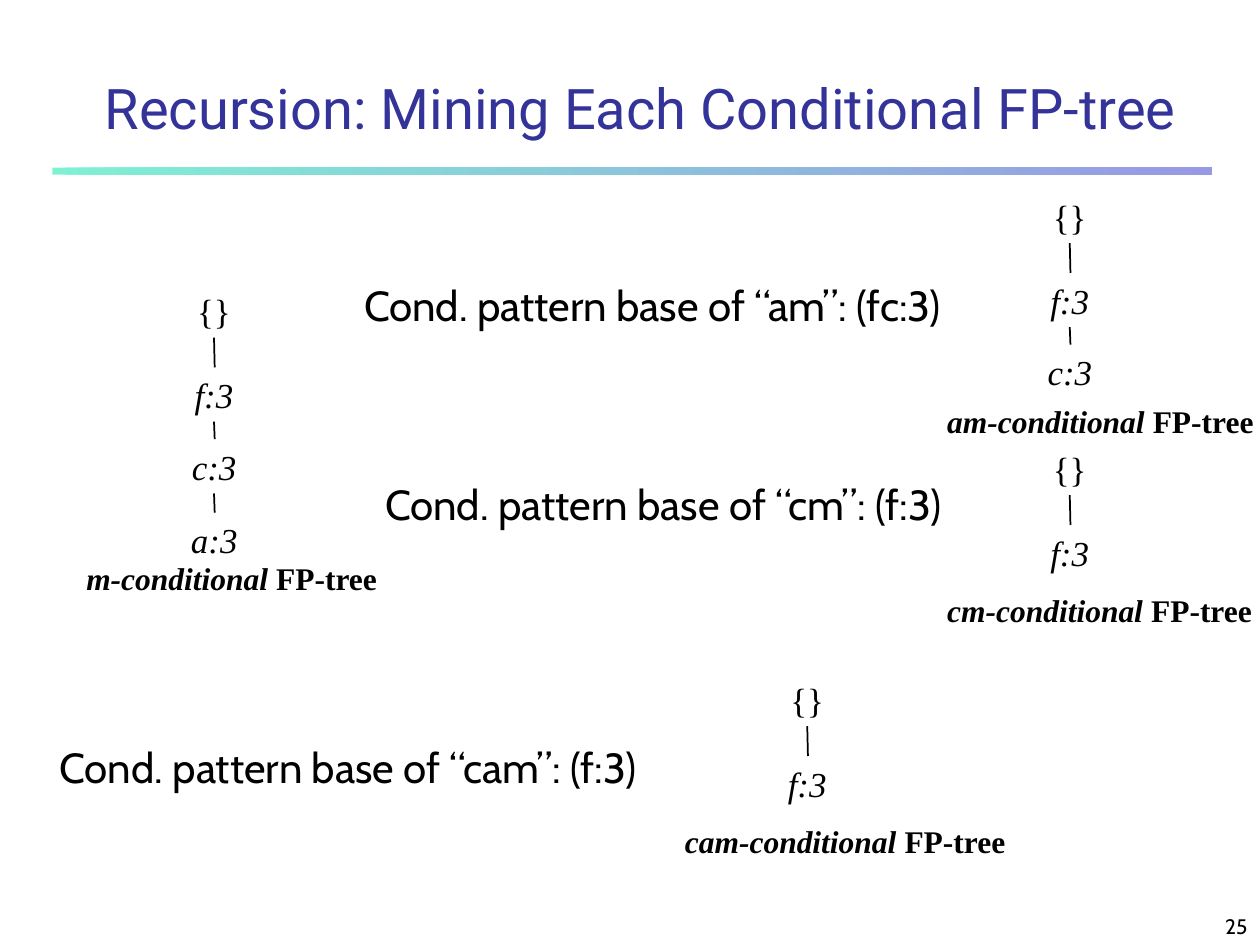
from lxml import etree
from pptx import Presentation
from pptx.dml.color import RGBColor
from pptx.enum.shapes import MSO_CONNECTOR, MSO_SHAPE
from pptx.enum.text import MSO_ANCHOR, MSO_AUTO_SIZE, PP_ALIGN
from pptx.oxml.ns import qn
from pptx.util import Pt

STRAIGHT = MSO_CONNECTOR.STRAIGHT
RECTANGLE = MSO_SHAPE.RECTANGLE
BOTTOM = MSO_ANCHOR.BOTTOM
NO_AUTOFIT, FIT_SHAPE = MSO_AUTO_SIZE.NONE, MSO_AUTO_SIZE.SHAPE_TO_FIT_TEXT
CENTER, RIGHT = PP_ALIGN.CENTER, PP_ALIGN.RIGHT

BLACK = RGBColor(0x00, 0x00, 0x00)
INDIGO = RGBColor(0x33, 0x33, 0x99)
MINT = RGBColor(0x00, 0xE4, 0xA8)
BLUE = RGBColor(0x33, 0x33, 0xCC)
SERIF, SANS, TITLE_FONT = "Times New Roman", "Cabin", "Roboto"

NODE_WIDTHS = {"{}": 33.8, "f:3": 36.8, "c:3": 40, "a:3": 41}
NODE_OFFSETS = [0, 48, 89, 131]
NODE_HEIGHT = 31.5
LINK_LEAN = 0.2


def style(span, font, size, color=BLACK, bold=False, italic=False):
    """Format one run."""
    span.font.name = font
    span.font.size = Pt(size)
    span.font.color.rgb = color
    span.font.bold = bold
    span.font.italic = italic


def add_text(shapes, bounds, texts, font, size, bold=False, italic=False, wrap=False):
    """Add a one-line text box with one run per text; only the first may be italic."""
    box = shapes.add_textbox(*[Pt(value) for value in bounds])
    box.text_frame.word_wrap = wrap
    box.text_frame.auto_size = NO_AUTOFIT if wrap else FIT_SHAPE
    para = box.text_frame.paragraphs[0]
    for index, text in enumerate(texts):
        span = para.add_run()
        span.text = text
        style(span, font, size, bold=bold, italic=italic and index == 0)
    return box


deck = Presentation()
deck.slide_width, deck.slide_height = Pt(720), Pt(540)
page = deck.slides.add_slide(deck.slide_layouts[5])

# Title and gradient rule
title = page.shapes.title
title.left, title.top, title.width, title.height = Pt(30), Pt(30), Pt(672.5), Pt(54)
title.text_frame.text = "Recursion: Mining Each Conditional FP-tree"
title.text_frame.vertical_anchor = BOTTOM
title.text_frame.auto_size = NO_AUTOFIT
title.text_frame.paragraphs[0].alignment = CENTER
style(title.text_frame.paragraphs[0].runs[0], TITLE_FONT, 32, INDIGO)

rule = page.shapes.add_shape(RECTANGLE, Pt(30), Pt(95.75), Pt(662.5), Pt(4))
rule.shadow.inherit = False
rule.line.fill.background()
rule.fill.gradient()
rule.fill.gradient_angle = 0
for stop, color in zip(rule.fill.gradient_stops, (MINT, BLUE)):
    stop.color.rgb = color
for tint in rule._element.spPr.iter(qn("a:srgbClr")):
    etree.SubElement(tint, qn("a:alpha"), val="50000")

# Conditional pattern bases
for left, top, width, item, base in [
    (201, 156, 385, "am", "fc:3"),
    (213, 270, 371.5, "cm", "f:3"),
    (27, 420, 385, "cam", "f:3"),
]:
    sentence = f"Cond. pattern base of \u201c{item}\u201d: ({base})"
    add_text(page.shapes, (left, top, width, 36), [sentence], SANS, 24, wrap=True)

# Conditional FP-trees: a chain of nodes on one axis, with a caption below
for item, axis, top, caption_left, caption_width, nodes in [
    ("m", 122.5, 162, 42.2, 180.7, ["{}", "f:3", "c:3", "a:3"]),
    ("am", 611.5, 108, 534.2, 189.4, ["{}", "f:3", "c:3"]),
    ("cm", 611.5, 252, 534.2, 188.6, ["{}", "f:3"]),
    ("cam", 461.5, 384, 384.3, 198, ["{}", "f:3"]),
]:
    tree = page.shapes.add_group_shape().shapes
    for index, node in enumerate(nodes):
        node_top = top + NODE_OFFSETS[index]
        width = NODE_WIDTHS[node]
        add_text(tree, (axis - width / 2, node_top, width, NODE_HEIGHT),
                 [node], SERIF, 20, italic=index > 0)
        if index > 0:
            link_top = top + NODE_OFFSETS[index - 1] + NODE_HEIGHT - 0.5
            link = tree.add_connector(STRAIGHT, Pt(axis - LINK_LEAN), Pt(link_top),
                                      Pt(axis + LINK_LEAN), Pt(node_top))
            link.line.color.rgb = BLACK
            link.line.width = Pt(1)
            etree.SubElement(link._element.spPr, qn("a:effectLst"))
    caption_top = top + 82 + 36 * (len(nodes) - 2)
    add_text(tree, (caption_left, caption_top, caption_width, 29),
             [f"{item}-conditional ", "FP-tree"], SERIF, 18, bold=True, italic=True)

# Page number
number = add_text(page.shapes, (570, 510, 150, 30), ["25"], SANS, 12, wrap=True)
number.text_frame.vertical_anchor = BOTTOM
number.text_frame.paragraphs[0].alignment = RIGHT

deck.save("out.pptx")
